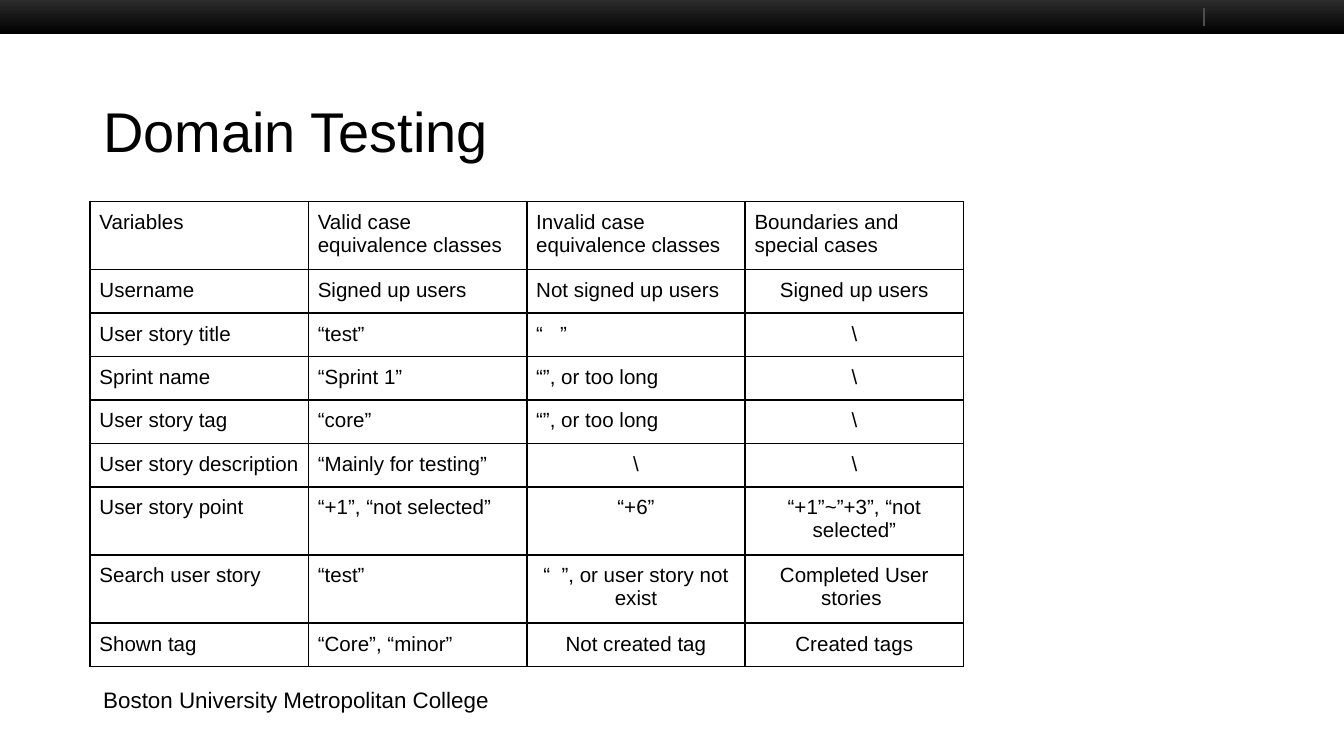
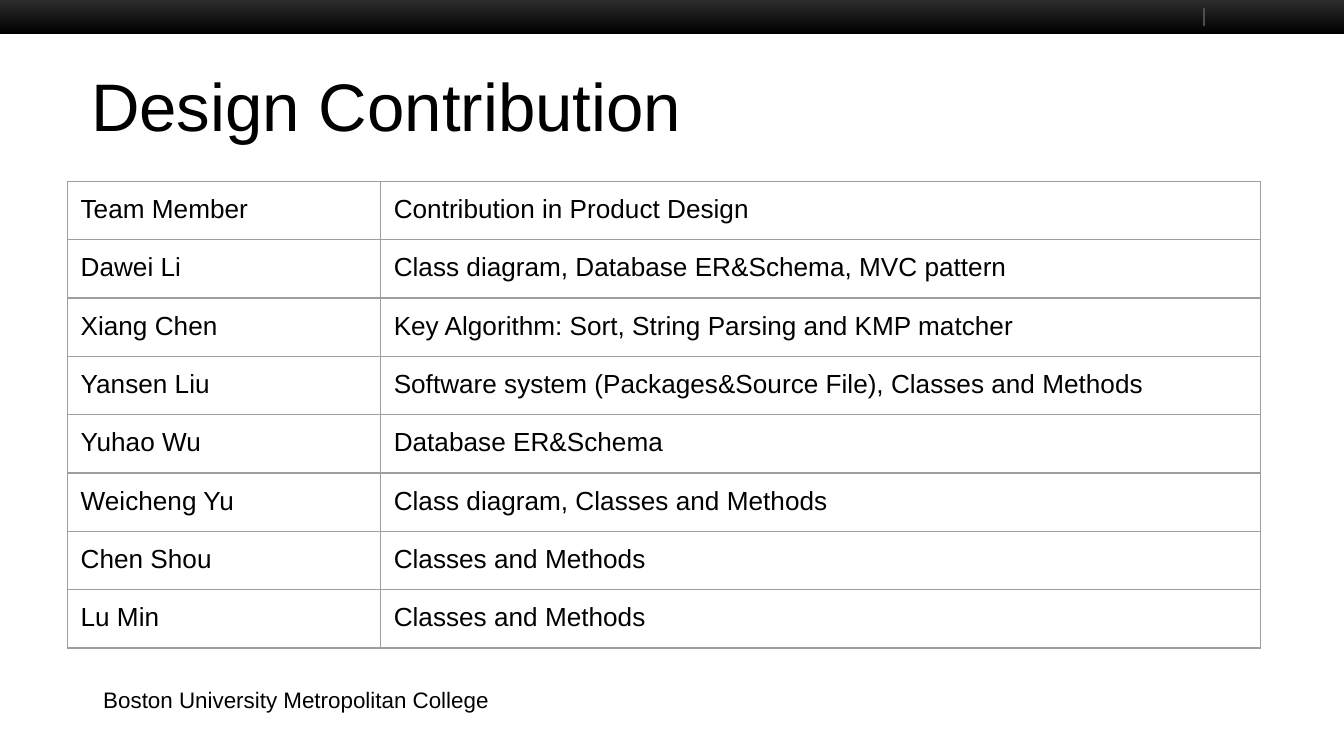
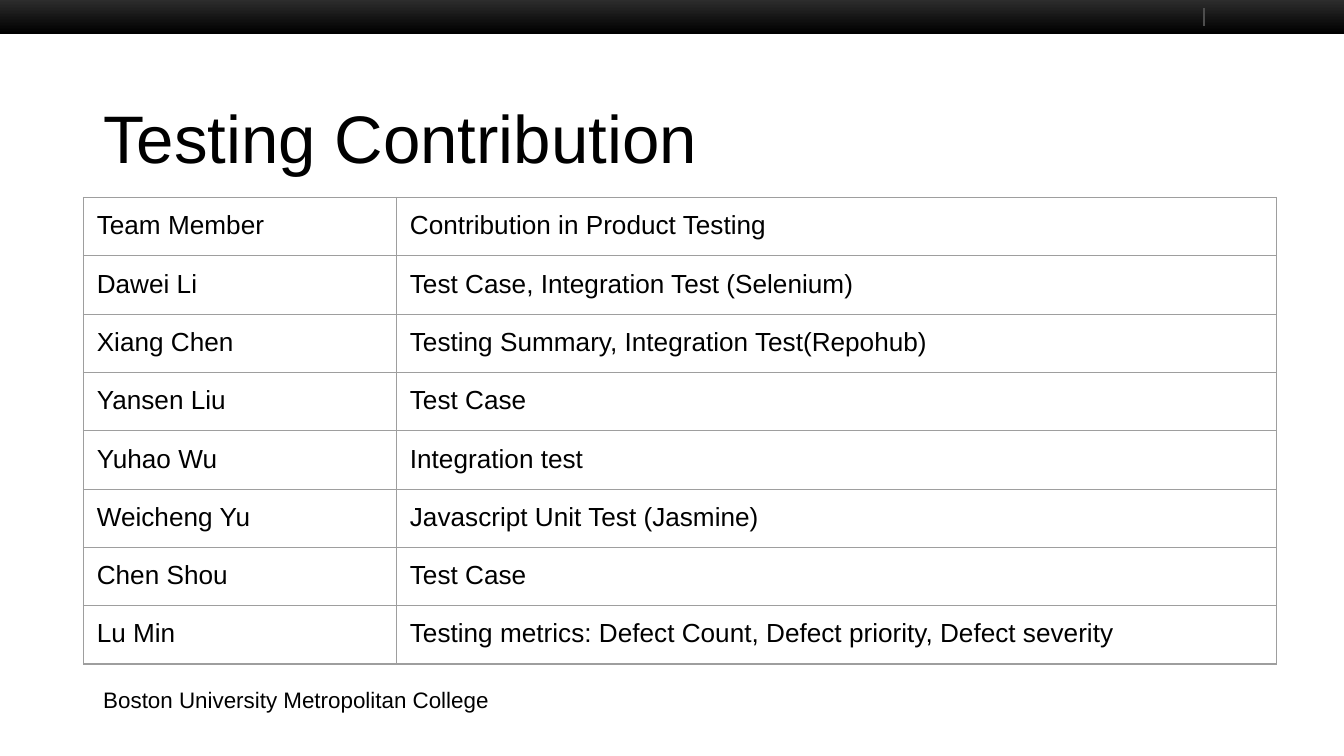
import pptx
import pptx.dml.color
import pptx.enum.shapes
import pptx.enum.text
import pptx.oxml
import pptx.oxml.ns
import pptx.util
from lxml import etree

Inches = pptx.util.Inches
Pt = pptx.util.Pt
qn = pptx.oxml.ns.qn
LEFT, CENTER = pptx.enum.text.PP_ALIGN.LEFT, pptx.enum.text.PP_ALIGN.CENTER

COLORS = {
    "text": "000000",
    "band_top": "333333",
    "band_bottom": "000000",
    "tick": "4D4D4D",
    "grid_dark": "000000",
    "grid_gray": "9E9E9E",
}
FONT = "Arial"
FOOTER = "Boston University Metropolitan College"
NO_CASE = "\\"
FRAME_SIDE = 3.28

DOMAIN_ROWS = [
    ("Variables", "Valid case equivalence classes",
     "Invalid case equivalence classes", "Boundaries and special cases"),
    ("Username", "Signed up users", "Not signed up users", "Signed up users"),
    ("User story title", "“test”", "“   ”", NO_CASE),
    ("Sprint name", "“Sprint 1”", "“”, or too long", NO_CASE),
    ("User story tag", "“core”", "“”, or too long", NO_CASE),
    ("User story description", "“Mainly for testing”", NO_CASE, NO_CASE),
    ("User story point", "“+1”, “not selected”", "“+6”",
     "“+1”~”+3”, “not selected”"),
    ("Search user story", "“test”", "“  ”, or user story not exist",
     "Completed User stories "),
    ("Shown tag", "“Core”, “minor”", "Not created tag", "Created tags"),
]
MEMBERS = ["Dawei Li", "Xiang Chen", "Yansen Liu", "Yuhao Wu",
           "Weicheng Yu", "Chen Shou", "Lu Min"]
DESIGN_WORK = [
    "Class diagram, Database ER&Schema, MVC pattern",
    "Key Algorithm: Sort, String Parsing and KMP matcher",
    "Software system (Packages&Source File), Classes and Methods",
    "Database ER&Schema",
    "Class diagram, Classes and Methods",
    "Classes and Methods",
    "Classes and Methods",
]
TESTING_WORK = [
    "Test Case, Integration Test (Selenium)",
    "Testing Summary, Integration Test(Repohub)",
    "Test Case",
    "Integration test",
    "Javascript Unit Test (Jasmine)",
    "Test Case",
    "Testing metrics: Defect Count, Defect priority, Defect severity",
]

# centered_from: column -> first row with centred text
DOMAIN_GRID = {"cols": [6.5 / 4] * 4, "row": 0.01, "size": 11, "margin": 0.07,
               "line": ("grid_dark", 1), "centered_from": {2: 5, 3: 1}}
TEAM_GRID = {"cols": [2.33, 6.55], "row": 0.26, "size": 14, "margin": 0.1,
             "line": ("grid_gray", 0.75), "centered_from": {}}


def rgb(name):
    return pptx.dml.color.RGBColor.from_string(COLORS[name])


def set_margins(target, margins):
    for side, value in zip(("left", "top", "right", "bottom"), margins):
        setattr(target, f"margin_{side}", Inches(value))


def write(tf, text, size, align=LEFT):
    p = tf.paragraphs[0]
    for name, value in {"alignment": align, "line_spacing": 1.0}.items():
        setattr(p, name, value)
    r = p.add_run()
    r.text = text
    for name, value in {"name": FONT, "size": Pt(size)}.items():
        setattr(r.font, name, value)
    r.font.color.rgb = rgb("text")
    for script in ("a:ea", "a:cs"):
        etree.SubElement(r._r.rPr, qn(script), typeface=FONT)


def add_text(s, box, text, size, margins):
    tf = s.shapes.add_textbox(*map(Inches, box)).text_frame
    tf.word_wrap = True
    tf.vertical_anchor = pptx.enum.text.MSO_ANCHOR.TOP
    set_margins(tf, margins)
    write(tf, text, size)


def add_band(s, left, top, width, height):
    """Gradient band across the top with its small tick."""
    band = s.shapes.add_shape(pptx.enum.shapes.MSO_SHAPE.RECTANGLE,
                              *map(Inches, (left, top, width, height)))
    band.shadow.inherit = False
    band.line.fill.background()
    band.fill.gradient()
    band.fill.gradient_angle = 270
    for stop, name in zip(band.fill.gradient_stops, ("band_top", "band_bottom")):
        stop.color.rgb = rgb(name)

    x, y = left + 8.96, top + 0.1
    tick = s.shapes.add_connector(pptx.enum.shapes.MSO_CONNECTOR.STRAIGHT,
                                  *map(Inches, (x, y, x, y + 0.13)))
    tick.line.color.rgb = rgb("tick")
    tick.line.width = Pt(1)
    etree.SubElement(tick._element.spPr, qn("a:effectLst"))


def set_borders(cell, color, width):
    tcPr = cell._tc.get_or_add_tcPr()
    for i, side in enumerate("LRTB"):
        tcPr.insert(i, pptx.oxml.parse_xml(
            f'<a:ln{side} {pptx.oxml.ns.nsdecls("a")} w="{Pt(width)}">'
            f'<a:solidFill><a:srgbClr val="{COLORS[color]}"/></a:solidFill>'
            f'</a:ln{side}>'))


def add_grid(s, left, top, rows, fmt):
    """Ruled table; rows grow to hold their text."""
    cols = fmt["cols"]
    box = (left, top, FRAME_SIDE, FRAME_SIDE)
    frame = s.shapes.add_table(len(rows), len(cols), *map(Inches, box))
    table = frame.table
    table.first_row = table.horz_banding = False
    for col, width in zip(table.columns, cols):
        col.width = Inches(width)
    for i, row in enumerate(rows):
        table.rows[i].height = Inches(fmt["row"])
        for j, text in enumerate(row):
            cell = table.cell(i, j)
            cell.fill.background()
            set_borders(cell, *fmt["line"])
            set_margins(cell, [fmt["margin"]] * 4)
            centered = i >= fmt["centered_from"].get(j, len(rows))
            write(cell.text_frame, text, fmt["size"], CENTER if centered else LEFT)
    frame.width = frame.height = Inches(FRAME_SIDE)


def add_table_slide(prs, title, title_at, title_size, grid_at, rows, fmt):
    s = prs.slides.add_slide(prs.slide_layouts[6])
    add_band(s, 0, -0.04, 10, 0.29)
    add_text(s, (0.67, 5.06, 5.1, 0.23), FOOTER, 12, (0.1, 0.05, 0.1, 0.05))
    add_text(s, (*title_at, 8.67, 0.56), title, title_size, [0.1] * 4)
    add_grid(s, *grid_at, rows, fmt)


def team_rows(topic, work):
    return [("Team Member", f"Contribution in Product {topic}"), *zip(MEMBERS, work)]


def main():
    prs = pptx.Presentation()
    prs.slide_width = Inches(10)
    prs.slide_height = prs.slide_width * 9 // 16
    add_table_slide(prs, "Domain Testing", (0.67, 0.62), 30,
                    (0.67, 1.5), DOMAIN_ROWS, DOMAIN_GRID)
    add_table_slide(prs, "Design Contribution", (0.58, 0.38), 36,
                    (0.5, 1.35), team_rows("Design", DESIGN_WORK), TEAM_GRID)
    add_table_slide(prs, "Testing Contribution", (0.67, 0.62), 36,
                    (0.62, 1.47), team_rows("Testing", TESTING_WORK), TEAM_GRID)
    prs.save("out.pptx")


if __name__ == "__main__":
    main()
